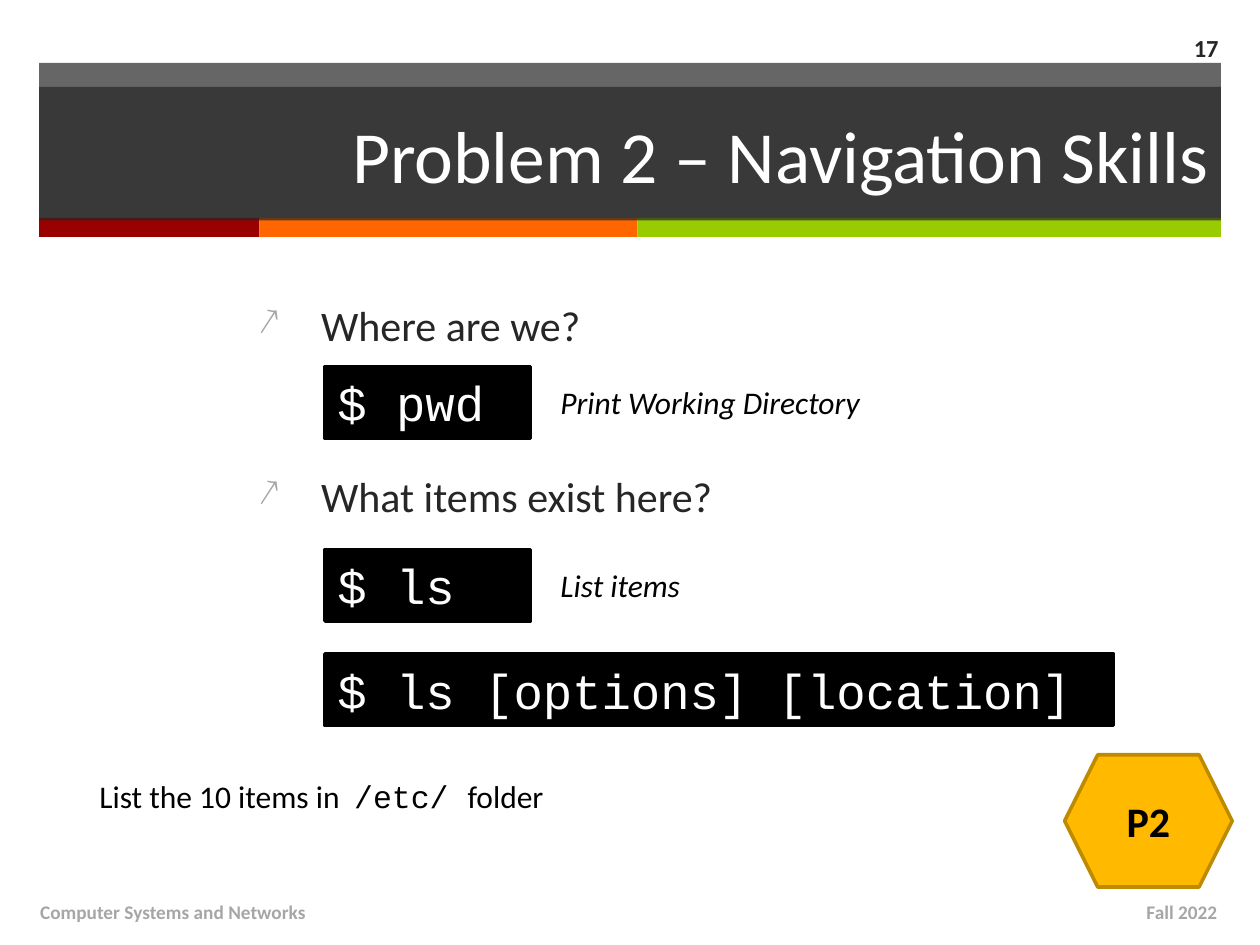
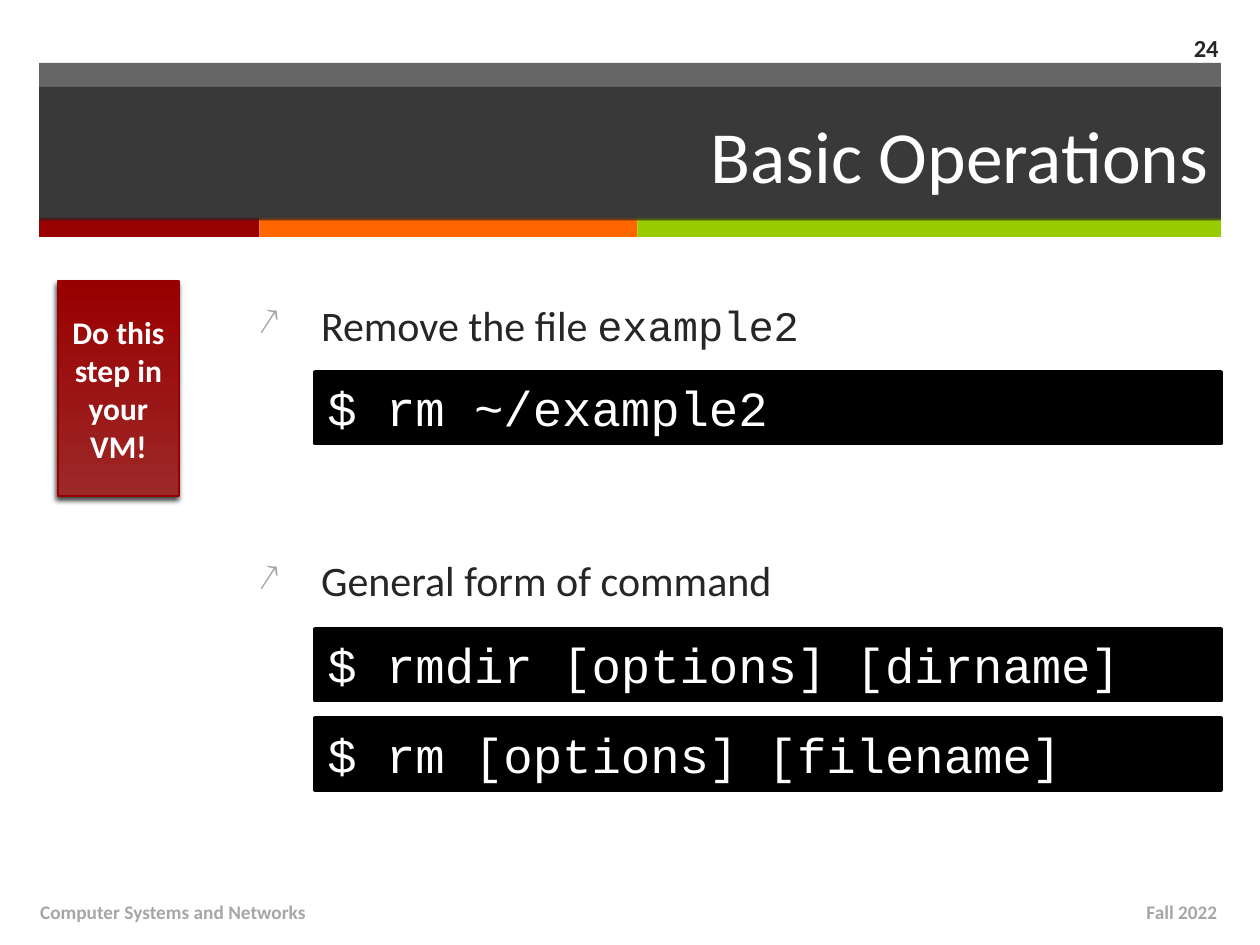
import pptx
import pptx.util
import pptx.dml.color
import pptx.enum.shapes
import pptx.enum.text
import pptx.oxml.ns
import lxml.etree

Inches = pptx.util.Inches
Pt = pptx.util.Pt
SHAPE = pptx.enum.shapes.MSO_SHAPE
ALIGN = pptx.enum.text.PP_ALIGN
ANCHOR = pptx.enum.text.MSO_ANCHOR
qn = pptx.oxml.ns.qn

COLORS = {
    "ink": "262626", "white": "FFFFFF", "black": "000000", "muted": "A6A6A6",
    "red": "990000", "orange": "FF6600", "green": "99CC00",
    "amber": "FFBA00", "amber_edge": "BD8A00",
    "brick": "9D2828", "red_edge": "960000",
}
SANS, MONO = "Calibri", "Courier New"
COURSE, TERM = "Computer Systems and Networks", "Fall 2022"

BAND_LEFT, BAND_WIDTH = 0.31, 9.38
STRIPES = [("red", 1.75), ("orange", 3), ("green", 4.63)]
COMMAND_HEIGHT = 0.57
SKIPPED_LINE = 48.5

SLIDES = [
    {
        "number": "17",
        "title": "Problem 2 – Navigation Skills",
        "bullets": [
            (0, [("Where are we?", SANS)]),
            (1, [("What items exist here?", SANS)]),
        ],
        "commands": [
            ("$ pwd", 2.58, 2.91, 1.63),
            ("$ ls", 2.58, 4.36, 1.63),
            ("$ ls [options] [location]", 2.58, 5.19, 6.26),
        ],
        "remarks": [
            ([("Print Working Directory", SANS)], (4.35, 2.99, 2.6, 0.4), True),
            ([("List items", SANS)], (4.35, 4.44, 1.16, 0.4), True),
            ([("List the 10 items in  ", SANS), ("/etc/ ", MONO), ("folder", SANS)],
             (0.69, 6.12, 3.91, 0.4), False),
        ],
        "badge": "P2",
    },
    {
        "number": "24",
        "title": "Basic Operations",
        "bullets": [
            (0, [("Remove the file ", SANS), ("example2", MONO)]),
            (2, [("General form of command", SANS)]),
        ],
        "commands": [
            ("$ rm ~/example2", 2.5, 2.95, 7.19),
            ("$ rmdir [options] [dirname]", 2.5, 4.99, 7.19),
            ("$ rm [options] [filename]", 2.5, 5.7, 7.19),
        ],
        "callout": "Do this step in your VM!",
    },
]


def rgb(name):
    return pptx.dml.color.RGBColor.from_string(COLORS[name])


def add_xml(parent, tag, **attributes):
    return lxml.etree.SubElement(parent, qn(tag), attributes)


def add_block(slide, box, fill, line=None, line_width=2, kind=SHAPE.RECTANGLE, opacity=None):
    block = slide.shapes.add_shape(kind, *map(Inches, box))
    block.shadow.inherit = False
    block.fill.solid()
    block.fill.fore_color.rgb = rgb(fill)
    if opacity:
        color = block.fill._xPr.find(qn("a:solidFill"))[0]
        add_xml(color, "a:alpha", val=str(opacity * 1000))
    if line:
        block.line.color.rgb = rgb(line)
        block.line.width = Pt(line_width)
    else:
        block.line.fill.background()
    return block


def add_box(slide, box):
    return slide.shapes.add_textbox(*map(Inches, box))


def add_runs(paragraph, pieces, size, color, bold=False, italic=False):
    for words, font_name in pieces:
        run = paragraph.add_run()
        run.text = words
        run.font.name = font_name
        run.font.size = Pt(size)
        run.font.color.rgb = rgb(color)
        run.font.bold = bold
        run.font.italic = italic


def write(shape, pieces, size, color, align=ALIGN.LEFT, anchor=ANCHOR.MIDDLE,
          wrap=True, **style):
    frame = shape.text_frame
    frame.word_wrap = wrap
    frame.vertical_anchor = anchor
    frame.paragraphs[0].alignment = align
    add_runs(frame.paragraphs[0], pieces, size, color, **style)


def add_frame(slide, title, number):
    add_block(slide, (BAND_LEFT, 0.5, BAND_WIDTH, 1.24), "ink", opacity=70)
    left = BAND_LEFT
    for color, width in STRIPES:
        add_block(slide, (left, 1.73, width, 0.15), color)
        left += width
    title_band = add_block(slide, (BAND_LEFT, 0.69, BAND_WIDTH, 1.06), "ink", opacity=70)
    write(title_band, [(title, SANS)], 42, "white", ALIGN.RIGHT)
    for words, box, size, color, align in [
        (COURSE, (0.22, 7.04, 6.7, 0.4), 11, "muted", ALIGN.LEFT),
        (TERM, (7.43, 7.04, 2.33, 0.4), 11, "muted", ALIGN.RIGHT),
        (number, (9.08, 0.18, 0.69, 0.39), 14, "ink", ALIGN.RIGHT),
    ]:
        write(add_box(slide, box), [(words, SANS)], size, color, align, bold=True)


def add_bullets(slide, bullets):
    frame = add_box(slide, (1.95, 2.33, 7.74, 4.37)).text_frame
    frame.word_wrap = True
    for index, (skipped, pieces) in enumerate(bullets):
        paragraph = frame.add_paragraph() if index else frame.paragraphs[0]
        paragraph.space_before = Pt(20 + skipped * SKIPPED_LINE if index else 0)
        properties = paragraph._p.get_or_add_pPr()
        properties.set("marL", str(Inches(0.5)))
        properties.set("indent", str(-Inches(0.5)))
        add_xml(add_xml(properties, "a:buClr"), "a:srgbClr", val=COLORS["muted"])
        add_xml(properties, "a:buSzPct", val="90000")
        add_xml(properties, "a:buChar", char="↗")
        add_runs(paragraph, pieces, 24, "ink")


def add_command(slide, command, left, top, width):
    terminal = add_block(slide, (left, top, width, COMMAND_HEIGHT), "black", "black")
    write(terminal, [(command, MONO)], 28, "white", anchor=ANCHOR.TOP)


def add_badge(slide, label):
    badge = add_block(slide, (8.45, 5.99, 1.33, 1.05), "amber", "amber_edge",
                      kind=SHAPE.HEXAGON)
    write(badge, [(label, SANS)], 24, "black", ALIGN.CENTER, bold=True)


def add_callout(slide, words):
    callout = add_block(slide, (0.46, 2.23, 0.96, 1.71), "red", "red_edge", 1)
    callout.fill.gradient()
    callout.fill.gradient_angle = 90
    for stop, color in zip(callout.fill.gradient_stops, ("brick", "red")):
        stop.color.rgb = rgb(color)
    effects = callout._element.spPr.find(qn("a:effectLst"))
    shadow = add_xml(effects, "a:outerShdw", blurRad=str(Pt(3)), dist=str(Pt(2)),
                     dir=str(110 * 60000), rotWithShape="0")
    shade = add_xml(shadow, "a:srgbClr", val=COLORS["black"])
    add_xml(shade, "a:alpha", val="75000")
    write(callout, [(words, SANS)], 18, "white", ALIGN.CENTER, bold=True)


def main():
    deck = pptx.Presentation()
    deck.slide_width, deck.slide_height = Inches(10), Inches(7.5)
    for content in SLIDES:
        slide = deck.slides.add_slide(deck.slide_layouts[6])
        add_frame(slide, content["title"], content["number"])
        add_bullets(slide, content["bullets"])
        for command in content["commands"]:
            add_command(slide, *command)
        for pieces, box, italic in content.get("remarks", []):
            write(add_box(slide, box), pieces, 18, "black", anchor=ANCHOR.TOP,
                  wrap=False, italic=italic)
        if "badge" in content:
            add_badge(slide, content["badge"])
        if "callout" in content:
            add_callout(slide, content["callout"])
    deck.save("out.pptx")


if __name__ == "__main__":
    main()
